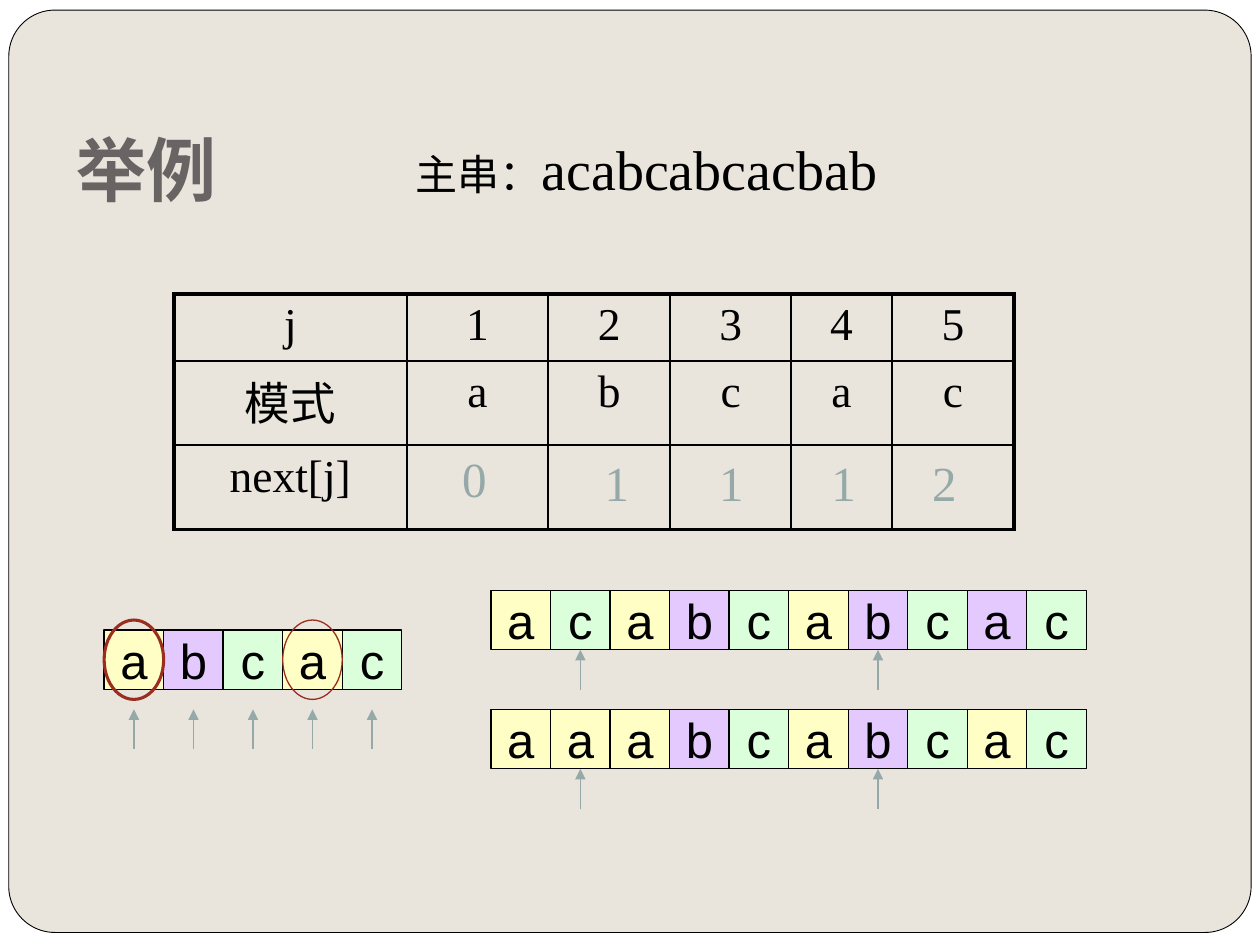
from pptx import Presentation
from pptx.dml.color import RGBColor
from pptx.enum.shapes import MSO_CONNECTOR, MSO_SHAPE
from pptx.enum.text import MSO_ANCHOR, PP_ALIGN
from pptx.oxml.ns import qn
from pptx.util import Cm, Inches, Pt
from lxml import etree

RECT, OVAL, ROUND = MSO_SHAPE.RECTANGLE, MSO_SHAPE.OVAL, MSO_SHAPE.ROUNDED_RECTANGLE
STRAIGHT = MSO_CONNECTOR.STRAIGHT
LEFT, CENTER = PP_ALIGN.LEFT, PP_ALIGN.CENTER
TOP, MIDDLE, BOTTOM = MSO_ANCHOR.TOP, MSO_ANCHOR.MIDDLE, MSO_ANCHOR.BOTTOM

WHITE = RGBColor(0xFF, 0xFF, 0xFF)
BLACK = RGBColor(0x00, 0x00, 0x00)
SAND = RGBColor(0xE9, 0xE5, 0xDC)
GRAY = RGBColor(0x69, 0x64, 0x64)
SAGE = RGBColor(0x96, 0xA9, 0xA9)
RUST = RGBColor(0x9B, 0x2D, 0x1F)
YELLOW = RGBColor(0xFF, 0xFF, 0xC5)
VIOLET = RGBColor(0xE4, 0xC9, 0xFF)
GREEN = RGBColor(0xDB, 0xFF, 0xDB)
TINTS = {"a": YELLOW, "b": VIOLET, "c": GREEN}

SERIF, SANS, HEAD = "Times New Roman", "Arial", "Roboto"

# Letter grid: origin, column width and row height
GRID_X, GRID_Y = Cm(2.1), Cm(11.9)
COL, ROW = Cm(1.2), Cm(0.8)
CELL_ROWS = 1.5


class Board:
    """Current slide and its style; boxes are in percent, letters in grid units."""

    def __init__(self, prs):
        self.prs = prs
        self.s = prs.slides.add_slide(prs.slide_layouts[6])
        fill = self.s.background.fill
        fill.solid()
        fill.fore_color.rgb = WHITE

    def box(self, x, y, w, h):
        W, H = self.prs.slide_width, self.prs.slide_height
        return [int(v / 100) for v in (x * W, y * H, w * W, h * H)]

    def grid(self, col, row):
        return int(GRID_X + col * COL), int(GRID_Y + row * ROW)

    def add_runs(self, p, runs, align=CENTER):
        p.alignment = align
        for text, color, fmt in runs:
            r = p.add_run()
            r.text = text
            for name, value in fmt.items():
                setattr(r.font, name, value)
            r.font.color.rgb = color

    def text(self, area, runs, align=CENTER, anchor=TOP):
        tf = self.s.shapes.add_textbox(*self.box(*area)).text_frame
        tf.word_wrap = True
        tf.vertical_anchor = anchor
        self.add_runs(tf.paragraphs[0], runs, align)
        return tf

    def shape(self, kind, area, fill, line, width):
        sp = self.s.shapes.add_shape(kind, *area)
        sp.shadow.inherit = False
        if fill is None:
            sp.fill.background()
        else:
            sp.fill.solid()
            sp.fill.fore_color.rgb = fill
        sp.line.color.rgb = line
        sp.line.width = Pt(width)
        return sp

    def letters(self, col, row, word, tints=None):
        for i, (letter, tint) in enumerate(zip(word, tints or word)):
            area = (*self.grid(col + i, row), COL, int(CELL_ROWS * ROW))
            sp = self.shape(RECT, area, TINTS[tint], BLACK, 0.75)
            tf = sp.text_frame
            tf.word_wrap = False
            tf.vertical_anchor = MIDDLE
            self.add_runs(tf.paragraphs[0], [(letter, BLACK, {"name": SANS, "size": Pt(28)})])

    def ring(self, col, row, width):
        self.shape(OVAL, (*self.grid(col, row), COL, 2 * ROW), None, RUST, width)

    def arrow(self, col, row):
        """Upward arrow, one row long, with its tip centred under a cell."""
        tail, tip = self.grid(col + 0.5, row + 1), self.grid(col + 0.5, row)
        c = self.s.shapes.add_connector(STRAIGHT, *tail, *tip)
        c.line.color.rgb = SAGE
        c.line.width = Pt(0.75)
        spPr = c._element.spPr
        etree.SubElement(spPr.find(qn("a:ln")), qn("a:tailEnd"), type="triangle")
        etree.SubElement(spPr, qn("a:effectLst"))

    def border(self, cell, widths):
        tcPr = cell._tc.get_or_add_tcPr()
        for i, (side, width) in enumerate(widths.items()):
            ln = etree.Element(qn(f"a:ln{side}"), w=str(Pt(width)))
            fill = etree.SubElement(ln, qn("a:solidFill"))
            etree.SubElement(fill, qn("a:srgbClr"), val=str(BLACK))
            tcPr.insert(i, ln)

    def table(self, x, y, cols, rows, data):
        area = self.box(x, y, sum(cols), sum(rows))
        tbl = self.s.shapes.add_table(len(rows), len(cols), *area).table
        tbl.first_row = tbl.horz_banding = False
        for i, w in enumerate(cols):
            tbl.columns[i].width = self.box(0, 0, w, 0)[2]
        for i, h in enumerate(rows):
            tbl.rows[i].height = self.box(0, 0, 0, h)[3]
        last_r, last_c = len(rows) - 1, len(cols) - 1
        for r, line in enumerate(data):
            for c, text in enumerate(line):
                cell = tbl.cell(r, c)
                cell.fill.background()
                if text:
                    fmt = {"name": SERIF, "size": Pt(26)}
                    self.add_runs(cell.text_frame.paragraphs[0], [(text, BLACK, fmt)])
                outer = {"L": c == 0, "R": c == last_c, "T": r == 0, "B": r == last_r}
                self.border(cell, {k: 2.25 if edge else 1 for k, edge in outer.items()})


def main():
    prs = Presentation()
    prs.slide_width, prs.slide_height = Inches(10), Inches(7.5)
    b = Board(prs)

    # Rounded frame
    frame = b.shape(ROUND, b.box(0.7, 1.07, 98.6, 97.6), SAND, BLACK, 0.5)
    frame.adjustments[0] = 0.05

    # Title and main string
    title = b.text((5.1, 6.93, 90, 16.67),
                   [("举例", GRAY, {"name": HEAD, "size": Pt(40), "bold": True})],
                   LEFT, BOTTOM)
    title.margin_bottom = Inches(0.1)
    b.text((32, 13.6, 41.4, 12.53),
           [("主串：", BLACK, {"name": SERIF, "size": Pt(24)}),
            ("acabcabcacbab", BLACK, {"name": SERIF, "size": Pt(32)})], LEFT)

    # Table of the next function, its values laid over the last row
    b.table(13.8, 31.1, [18.5, 11.2, 9.7, 9.6, 8, 9.7], [6.7, 8.9, 8.9],
            [["j", *"12345"], ["模式", *"abcac"], ["next[j]", *[""] * 5]])
    values = [("0", 33.5, 46.8), ("1", 44.8, 47.2), ("1", 53.9, 47.2),
              ("1", 62.8, 47.2), ("2", 70.8, 47.2)]
    for value, x, y in values:
        b.text((x, y, 8.3, 7.6), [(value, SAGE, {"name": SERIF, "size": Pt(28)})])

    # Pattern with its matching prefix and suffix
    b.letters(0, 1, "abcac")
    for col in range(5):
        b.arrow(col, 3)
    b.ring(0, 0.75, 1.75)
    b.ring(3, 0.75, 0.75)

    # Two comparison strings with the positions compared
    strings = [(0, "acabcabcac", "acabcabcbc"), (3, "aaabcabcac", None)]
    for row, word, tints in strings:
        b.letters(6.5, row, word, tints)
        for i in (1, 6):
            b.arrow(6.5 + i, row + CELL_ROWS)

    prs.save("out.pptx")


if __name__ == "__main__":
    main()
